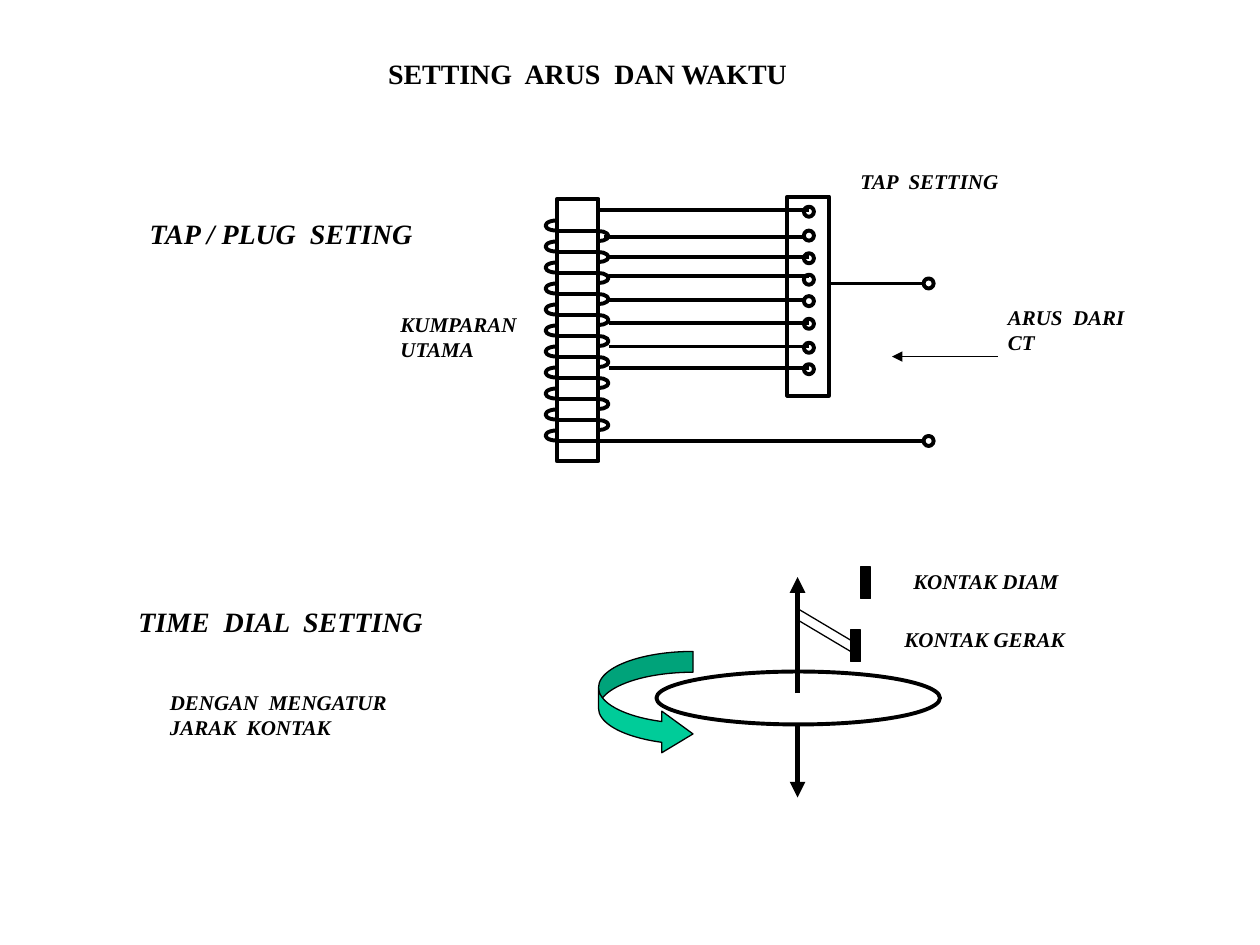
from lxml import etree
from pptx import Presentation
from pptx.dml.color import RGBColor
from pptx.enum.shapes import MSO_CONNECTOR, MSO_SHAPE
from pptx.enum.text import MSO_ANCHOR, MSO_AUTO_SIZE, PP_ALIGN
from pptx.oxml.ns import qn
from pptx.util import Inches, Pt

STRAIGHT = MSO_CONNECTOR.STRAIGHT
RECTANGLE = MSO_SHAPE.RECTANGLE
OVAL = MSO_SHAPE.OVAL
ARC = MSO_SHAPE.ARC
CURVED_ARROW = MSO_SHAPE.CURVED_RIGHT_ARROW
TOP = MSO_ANCHOR.TOP
NO_AUTOFIT = MSO_AUTO_SIZE.NONE
LEFT = PP_ALIGN.LEFT

FONT = "Times New Roman"
BLACK = "000000"
GREEN = "00CC99"
THIN, MEDIUM, THICK = 0.75, 2.25, 3


def color(hex_string):
    return RGBColor.from_string(hex_string)


def format_text(shape, text, box, size=12, italic=True):
    shape.left, shape.top, shape.width, shape.height = map(Inches, box)
    frame = shape.text_frame
    frame.text = text
    frame.word_wrap = False
    frame.auto_size = NO_AUTOFIT
    frame.vertical_anchor = TOP
    for paragraph in frame.paragraphs:
        paragraph.alignment = LEFT
        paragraph.font.name = FONT
        paragraph.font.size = Pt(size)
        paragraph.font.bold = True
        paragraph.font.italic = italic
        paragraph.font.color.rgb = color(BLACK)


presentation = Presentation()
presentation.slide_width = Inches(10)
presentation.slide_height = Inches(7.5)
slide = presentation.slides.add_slide(presentation.slide_layouts[5])

format_text(slide.shapes.title, "SETTING  ARUS  DAN WAKTU",
            (2.98, 0.4, 3.41, 0.37), size=16, italic=False)

core_left, core_right = 4.42, 4.75
coil_pitch = 1 / 6
turns = 11
tap_wires = [
    (4.75, 6.42, 1.67, 1.64),
    (4.79, 6.38, 1.88, 1.83),
    (4.83, 6.42, 2.04, 2.01),
    (4.83, 6.42, 2.19, 2.18),
    (4.82, 6.4, 2.38, 2.35),
    (4.83, 6.42, 2.56, 2.53),
    (4.83, 6.42, 2.75, 2.72),
    (4.83, 6.42, 2.92, 2.89),
]

shapes = [
    (RECTANGLE, (core_left, 1.58, 0.33, 2.08), None, MEDIUM, ()),
    (RECTANGLE, (6.25, 1.56, 0.33, 1.58), None, MEDIUM, ()),
    (OVAL, (7.33, 2.21, 0.08, 0.08), None, MEDIUM, ()),
    (OVAL, (7.33, 3.46, 0.08, 0.08), None, MEDIUM, ()),
    (OVAL, (5.21, 5.33, 2.25, 0.42), None, MEDIUM, ()),
    (RECTANGLE, (6.83, 4.5, 0.08, 0.25), BLACK, THIN, ()),
    (RECTANGLE, (6.75, 5, 0.08, 0.25), BLACK, THIN, ()),
    (CURVED_ARROW, (4.75, 5.17, 0.75, 0.82), GREEN, THIN, (0.22, 0.44, 0.33)),
]
lines = [
    (core_right, 3.5, 7.33, 3.5, MEDIUM, False),
    (6.58, 2.25, 7.33, 2.25, MEDIUM, False),
    (7.92, 2.83, 7.08, 2.83, THIN, True),
    (6.33, 5.5, 6.33, 4.58, THICK, True),
    (6.33, 5.75, 6.33, 6.33, THICK, True),
    (6.33, 4.83, 6.75, 5.08, THIN, False),
    (6.33, 4.92, 6.75, 5.17, THIN, False),
]

for turn in range(turns):
    loop_top = 1.75 + turn * coil_pitch
    winding = loop_top + coil_pitch / 2
    shapes.append((ARC, (4.33, loop_top, 0.17, 0.08), None, MEDIUM, (54, 162)))
    lines.append((core_left, winding, core_right, winding, MEDIUM, False))
    if turn < turns - 1:
        shapes.append((ARC, (4.67, winding, 0.16, 0.08), None, MEDIUM, (162, 54)))

for start, end, height, terminal_top in tap_wires:
    lines.append((start, height, end, height, MEDIUM, False))
    shapes.append((OVAL, (6.38, terminal_top, 0.08, 0.08), None, MEDIUM, ()))

for kind, box, fill, width, adjustments in shapes:
    shape = slide.shapes.add_shape(kind, *map(Inches, box))
    shape.shadow.inherit = False
    for index, value in enumerate(adjustments):
        shape.adjustments[index] = value
    if fill:
        shape.fill.solid()
        shape.fill.fore_color.rgb = color(fill)
    else:
        shape.fill.background()
    shape.line.color.rgb = color(BLACK)
    shape.line.width = Pt(width)

for x1, y1, x2, y2, width, has_arrow in lines:
    connector = slide.shapes.add_connector(STRAIGHT, *map(Inches, (x1, y1, x2, y2)))
    connector.line.color.rgb = color(BLACK)
    connector.line.width = Pt(width)
    if has_arrow:
        outline = connector.line._get_or_add_ln()
        etree.SubElement(outline, qn("a:tailEnd"), type="triangle")
    etree.SubElement(connector._element.spPr, qn("a:effectLst"))

labels = [
    ("TAP / PLUG  SETING", (1.09, 1.67, 2.3, 0.37), 16),
    ("KUMPARAN\nUTAMA", (3.08, 2.42, 1.22, 0.5), 12),
    ("TAP  SETTING", (6.73, 1.29, 1.31, 0.3), 12),
    ("ARUS  DARI\nCT", (7.9, 2.37, 1.12, 0.5), 12),
    ("TIME  DIAL  SETTING", (1, 4.75, 2.46, 0.37), 16),
    ("KONTAK DIAM", (7.15, 4.46, 1.36, 0.3), 12),
    ("KONTAK GERAK", (7.08, 4.92, 1.48, 0.3), 12),
    ("DENGAN  MENGATUR\nJARAK  KONTAK", (1.25, 5.42, 1.93, 0.5), 12),
]
for text, box, size in labels:
    label = slide.shapes.add_textbox(*map(Inches, box))
    format_text(label, text, box, size=size)

presentation.save("out.pptx")
